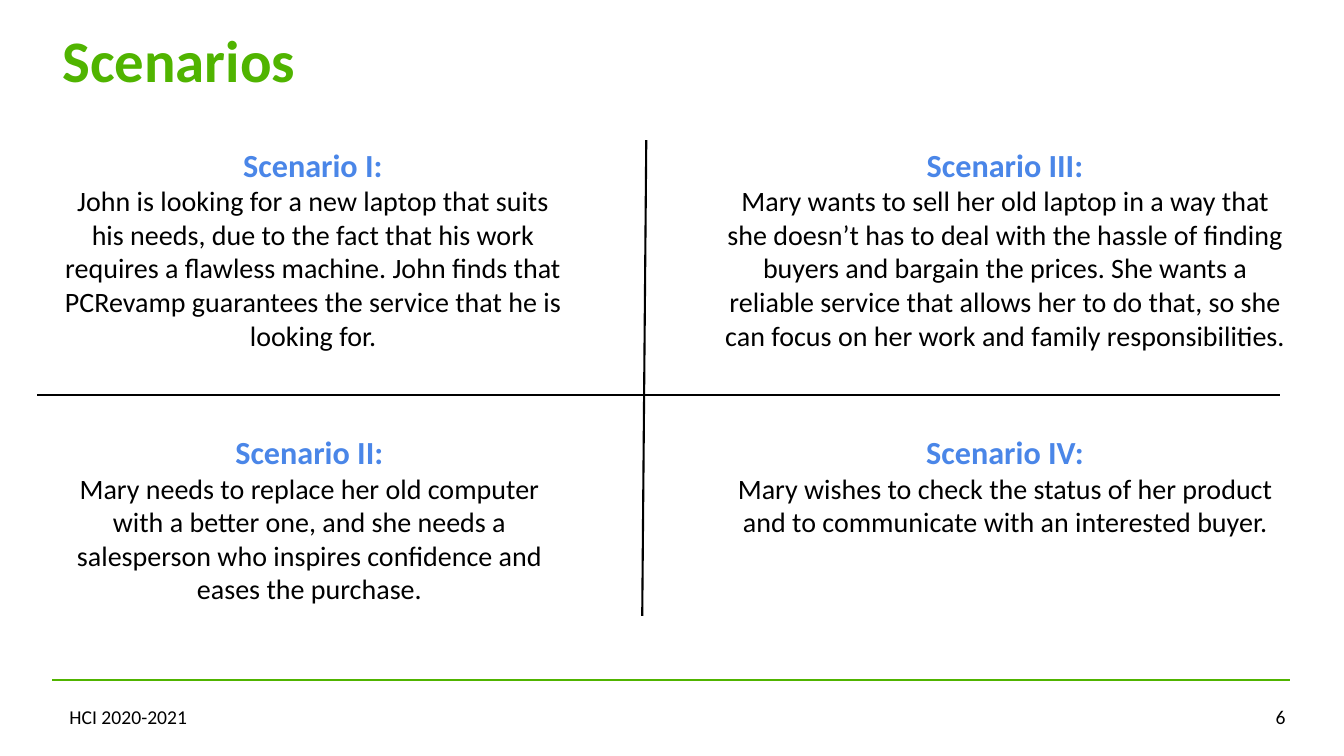
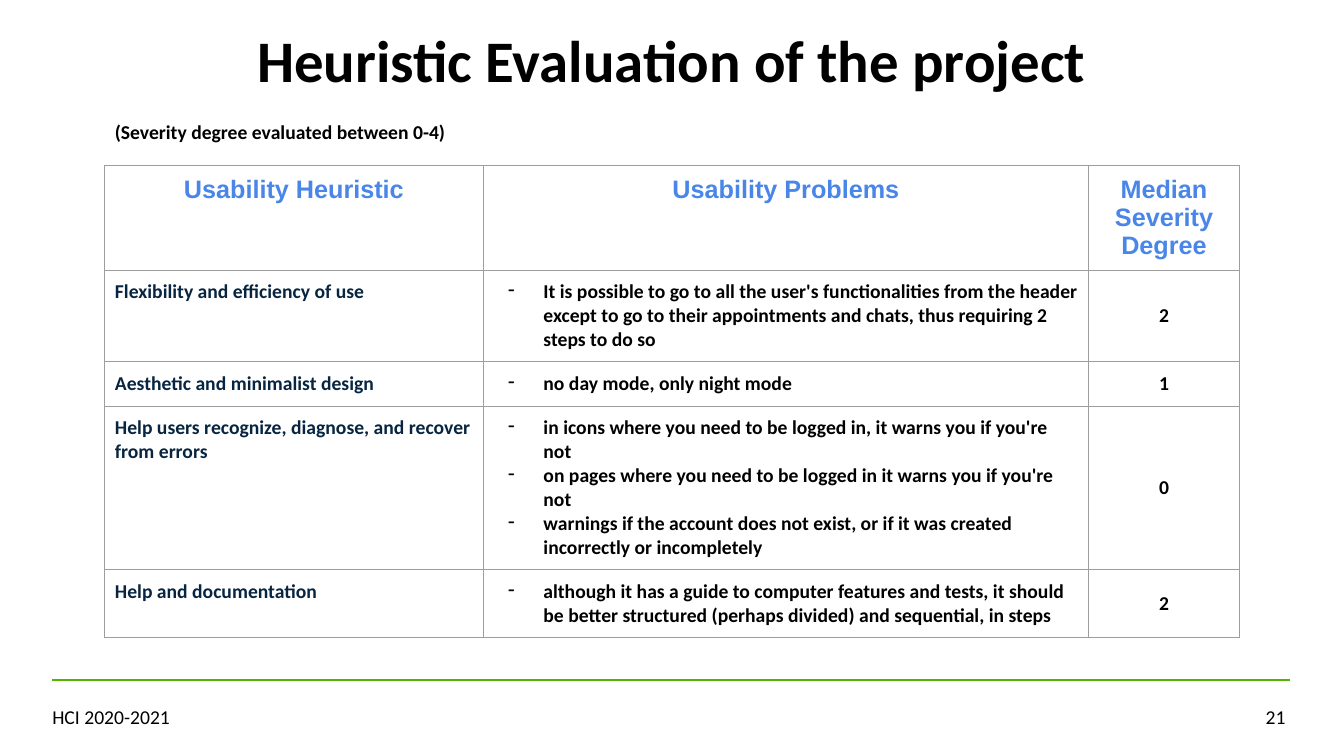
"""Builds two course slides: usage scenarios and a heuristic evaluation table."""
from dataclasses import dataclass

from lxml import etree
from pptx import Presentation
from pptx import util as u
from pptx.dml.color import RGBColor
from pptx.enum import shapes, text
from pptx.oxml import ns

GREEN = RGBColor(0x50, 0xB4, 0x00)
BLUE = RGBColor(0x4A, 0x86, 0xE8)
NAVY = RGBColor(0x07, 0x25, 0x40)
BLACK = RGBColor(0, 0, 0)
GREY = RGBColor(0x9E, 0x9E, 0x9E)

LEFT, CENTER, RIGHT = text.PP_ALIGN.LEFT, text.PP_ALIGN.CENTER, text.PP_ALIGN.RIGHT
TOP, MIDDLE, BOTTOM = (text.MSO_ANCHOR.TOP, text.MSO_ANCHOR.MIDDLE,
                       text.MSO_ANCHOR.BOTTOM)


@dataclass(frozen=True)
class Style:
    size: float
    color: RGBColor = BLACK
    bold: bool = False
    align: text.PP_ALIGN = LEFT
    name: str = "Calibri"
    spacing: float | None = None
    dash: bool = False


@dataclass(frozen=True)
class Box:
    left: float
    top: float
    width: float
    height: float
    pad: float = 0.1
    anchor: text.MSO_ANCHOR = TOP
    grow: bool = False


@dataclass(frozen=True)
class Scenario:
    box: Box
    heading: str
    story: str


@dataclass(frozen=True)
class Finding:
    heuristic: str
    problems: tuple[str, ...]
    severity: int
    height: float


HEADING = Style(23, BLUE, True, CENTER)
STORY = Style(20, align=CENTER)
FOOTER = Style(14)
PAGE_NUMBER = Style(14, align=RIGHT)
TABLE_HEAD = Style(18, BLUE, True, CENTER, "Arial")
HEURISTIC = Style(14, NAVY, True)
PROBLEM = Style(14, bold=True, dash=True)
SEVERITY = Style(14, bold=True, align=CENTER)
NOTE = Style(14, bold=True)

SCENARIOS = (
    Scenario(Box(0.52, 1.39, 5.17, 2.17, 0.05, grow=True), "Scenario I:",
             "John is looking for a new laptop that suits his needs, due to the fact "
             "that his work requires a flawless machine. John finds that PCRevamp "
             "guarantees the service that he is looking for."),
    Scenario(Box(0.52, 4.19, 5.1, 1.94, grow=True), "Scenario II:",
             "Mary needs to replace her old computer with a better one, and she needs "
             "a salesperson who inspires confidence and eases the purchase."),
    Scenario(Box(7.09, 1.34, 5.76, 2.27, grow=True), "Scenario III:",
             "Mary wants to sell her old laptop in a way that she doesn’t has to deal "
             "with the hassle of finding buyers and bargain the prices. She wants a "
             "reliable service that allows her to do that, so she can focus on her "
             "work and family responsibilities."),
    Scenario(Box(7.09, 4.19, 5.76, 1.26, grow=True), "Scenario IV:",
             "Mary wishes to check the status of her product and to communicate with "
             "an interested buyer."),
)

HEADERS = ("Usability Heuristic", "Usability Problems", "Median Severity Degree")
HEADER_HEIGHT = 1.04
COLUMN_WIDTHS = (3.75, 6.01, 1.49)
FINDINGS = (
    Finding("Flexibility and efficiency of use",
            ("It is possible to go to all the user's functionalities from the header "
             "except to go to their appointments and chats, thus requiring 2 steps to "
             "do so",), 2, 0.91),
    Finding("Aesthetic and minimalist design",
            ("no day mode, only night mode",), 1, 0.44),
    Finding("Help users recognize, diagnose, and recover from errors",
            ("in icons where you need to be logged in, it warns you if you're not",
             "on pages where you need to be logged in it warns you if you're not",
             "warnings if the account does not exist, or if it was created incorrectly "
             "or incompletely"), 0, 1.62),
    Finding("Help and documentation",
            ("although it has a guide to computer features and tests, it should be "
             "better structured (perhaps divided) and sequential, in steps",), 2, 0.67),
)


def set_all(target, values: dict) -> None:
    """Set every attribute named in values on target."""
    for key, value in values.items():
        setattr(target, key, value)


def add_dash(p) -> None:
    """Give a paragraph a hanging dash bullet."""
    pPr = p._p.get_or_add_pPr()
    pPr.set("marL", str(u.Inches(0.5)))
    pPr.set("indent", str(u.Inches(-0.35)))
    color = etree.SubElement(pPr, ns.qn("a:buClr"))
    etree.SubElement(color, ns.qn("a:srgbClr"), val=str(BLACK))
    etree.SubElement(pPr, ns.qn("a:buChar"), char="-")


def write(tf, *lines: tuple[str, Style]) -> None:
    """Write each line as one styled paragraph."""
    for i, (line, style) in enumerate(lines):
        p = tf.paragraphs[0] if i == 0 else tf.add_paragraph()
        set_all(p, {"alignment": style.align, "line_spacing": style.spacing})
        if style.dash:
            add_dash(p)
        r = p.add_run()
        r.text = line
        set_all(r.font, {"size": u.Pt(style.size), "name": style.name,
                         "bold": style.bold})
        r.font.color.rgb = style.color


def add_text(s, box: Box, *lines: tuple[str, Style]) -> None:
    """Add a wrapped text box."""
    sp = s.shapes.add_textbox(*map(u.Inches, (box.left, box.top, box.width, box.height)))
    tf = sp.text_frame
    fit = text.MSO_AUTO_SIZE.SHAPE_TO_FIT_TEXT if box.grow else text.MSO_AUTO_SIZE.NONE
    set_all(tf, {"word_wrap": True, "auto_size": fit, "vertical_anchor": box.anchor,
                 "margin_left": u.Inches(0.1), "margin_right": u.Inches(0.1),
                 "margin_top": u.Inches(box.pad), "margin_bottom": u.Inches(box.pad)})
    write(tf, *lines)


def add_line(s, x1: float, y1: float, x2: float, y2: float, color: RGBColor) -> None:
    """Add a straight line without a shadow."""
    line = s.shapes.add_connector(shapes.MSO_CONNECTOR.STRAIGHT,
                                  *map(u.Inches, (x1, y1, x2, y2)))
    line.line.color.rgb = color
    line.line.width = u.Pt(1.5)
    etree.SubElement(line._element.spPr, ns.qn("a:effectLst"))


def add_slide(prs, title: str, title_style: Style, number: int, footer_left: float):
    """Add a blank slide with title, rule, footer and page number."""
    s = prs.slides.add_slide(prs.slide_layouts[6])
    add_text(s, Box(0.52, 0.37, 12.28, 0.6, 0.05, BOTTOM), (title, title_style))
    add_line(s, 0.52, 6.75, 12.79, 6.75, GREEN)
    add_text(s, Box(footer_left, 6.94, 2.92, 0.34, 0.05), ("HCI 2020-2021", FOOTER))
    add_text(s, Box(12.05, 6.94, 0.8, 0.34, 0.05), (str(number), PAGE_NUMBER))
    return s


def fill_cell(cell, anchor: text.MSO_ANCHOR, *lines: tuple[str, Style]) -> None:
    """Write a clear cell with thin grey borders."""
    margins = ("margin_left", "margin_right", "margin_top", "margin_bottom")
    set_all(cell, dict.fromkeys(margins, u.Inches(0.1)) | {"vertical_anchor": anchor})
    tcPr = cell._tc.get_or_add_tcPr()
    for side in ("lnL", "lnR", "lnT", "lnB"):
        border = etree.SubElement(tcPr, ns.qn(f"a:{side}"), w=str(u.Pt(0.75)))
        fill = etree.SubElement(border, ns.qn("a:solidFill"))
        etree.SubElement(fill, ns.qn("a:srgbClr"), val=str(GREY))
    cell.fill.background()
    write(cell.text_frame, *lines)


def add_findings(s) -> None:
    """Add the table of usability findings."""
    heights = (HEADER_HEIGHT, *(f.height for f in FINDINGS))
    frame = s.shapes.add_table(len(heights), len(HEADERS), u.Inches(1.04), u.Inches(1.64),
                               u.Inches(sum(COLUMN_WIDTHS)), u.Inches(sum(heights)))
    table = frame.table
    set_all(table, {"first_row": False, "horz_banding": False})
    for column, width in zip(table.columns, COLUMN_WIDTHS):
        column.width = u.Inches(width)
    for row, height in zip(table.rows, heights):
        row.height = u.Inches(height)
    for i, header in enumerate(HEADERS):
        fill_cell(table.cell(0, i), TOP, (header, TABLE_HEAD))
    for i, f in enumerate(FINDINGS, 1):
        fill_cell(table.cell(i, 0), TOP, (f.heuristic, HEURISTIC))
        fill_cell(table.cell(i, 1), TOP, *((problem, PROBLEM) for problem in f.problems))
        fill_cell(table.cell(i, 2), MIDDLE, (str(f.severity), SEVERITY))


def build_scenarios(prs) -> None:
    """Build the four-quadrant scenario slide."""
    s = add_slide(prs, "Scenarios", Style(42, GREEN, True, spacing=0.7), 6, 0.59)
    for scenario in SCENARIOS:
        add_text(s, scenario.box, (scenario.heading, HEADING), (scenario.story, STORY))
    add_line(s, 0.37, 3.92, 12.7, 3.92, BLACK)
    add_line(s, 6.41, 1.39, 6.37, 6.11, BLACK)


def build_evaluation(prs) -> None:
    """Build the heuristic evaluation slide."""
    s = add_slide(prs, "Heuristic Evaluation of the project",
                  Style(42, BLACK, True, CENTER, spacing=0.7), 21, 0.42)
    add_findings(s)
    add_text(s, Box(1.04, 1.09, 3.67, 0.44, grow=True),
             ("(Severity degree evaluated between 0-4)", NOTE))


def main() -> None:
    """Build and save the presentation."""
    prs = Presentation()
    set_all(prs, {"slide_width": u.Inches(13.33), "slide_height": u.Inches(7.5)})
    build_scenarios(prs)
    build_evaluation(prs)
    prs.save("out.pptx")


if __name__ == "__main__":
    main()
